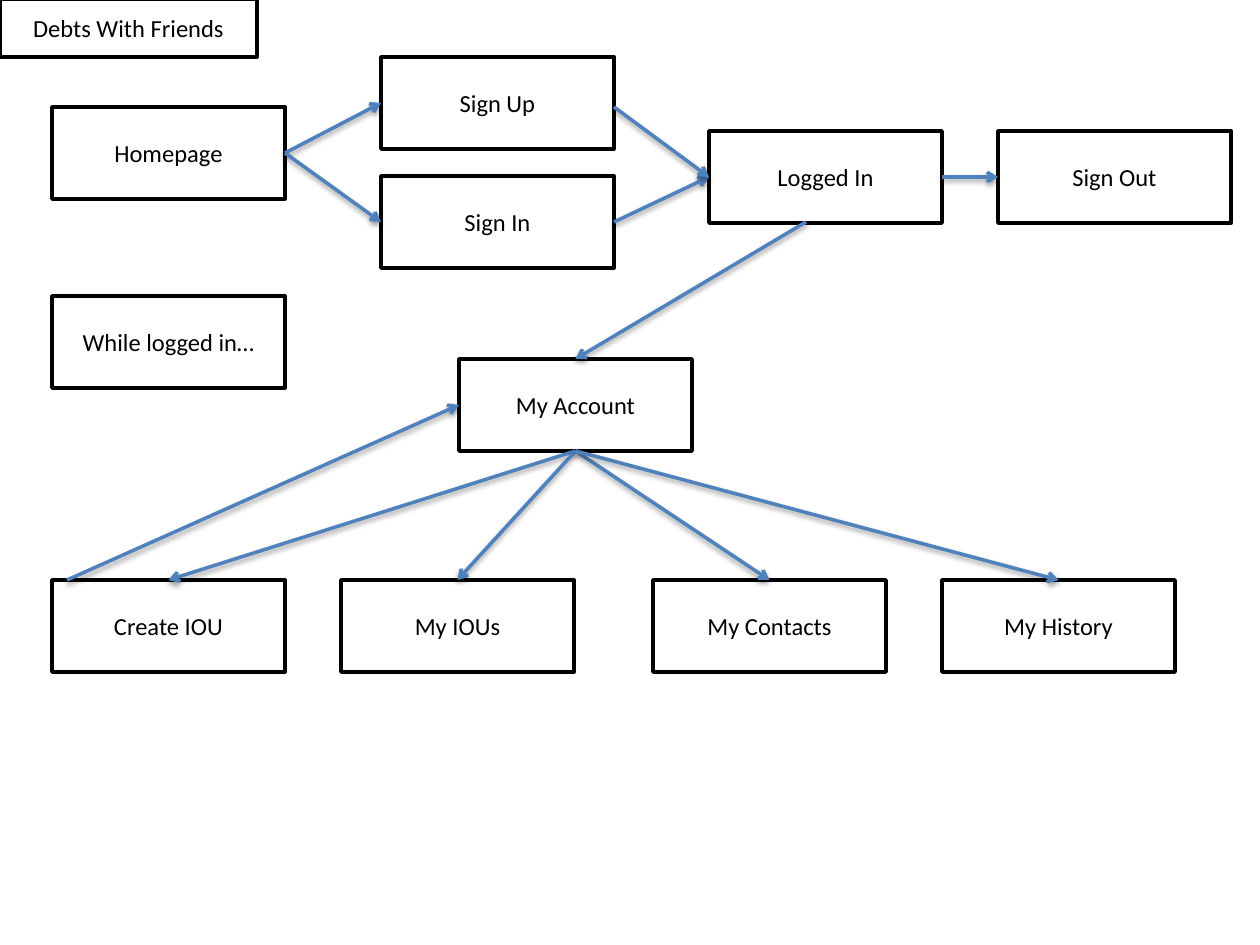
from pptx import Presentation
from pptx.dml.color import RGBColor
from pptx.enum.shapes import MSO_CONNECTOR as Connector, MSO_SHAPE as Shape
from pptx.enum.text import MSO_ANCHOR as Anchor, MSO_AUTO_SIZE as AutoSize, PP_ALIGN as Align
from pptx.oxml.ns import qn
from pptx.util import Emu, Pt
from lxml.etree import SubElement

TITLE = "Debts With Friends"
TITLE_AREA = (0, -1, 257, 58)
BOX_WIDTH, BOX_HEIGHT = 233, 92
ACTION_TOP, SESSION_TOP = 580, 131
PAGES = {
    "Homepage": (52, 107),
    "Sign Up": (381, 57),
    "Sign In": (381, 176),
    "Create IOU": (52, ACTION_TOP),
    "My Account": (459, 359),
    "My Contacts": (653, ACTION_TOP),
    "My IOUs": (341, ACTION_TOP),
    "My History": (942, ACTION_TOP),
    "While logged in…": (52, 296),
    "Logged In": (709, SESSION_TOP),
    "Sign Out": (998, SESSION_TOP),
}
TOP, LEFT, BOTTOM, RIGHT = range(4)
JOINED_ARROWS = [
    ("Homepage", RIGHT, "Sign Up", LEFT),
    ("Homepage", RIGHT, "Sign In", LEFT),
    ("Sign In", RIGHT, "Logged In", LEFT),
    ("Logged In", RIGHT, "Sign Out", LEFT),
    ("My Account", BOTTOM, "Create IOU", TOP),
    ("My Account", BOTTOM, "My IOUs", TOP),
    ("My Account", BOTTOM, "My Contacts", TOP),
    ("My Account", BOTTOM, "My History", TOP),
]
FREE_START_ARROWS = [
    ((614, 107), "Logged In", LEFT),
    ((806, 222), "My Account", TOP),
    ((67, ACTION_TOP), "My Account", LEFT),
]
FRAME_FORMAT = {"vertical_anchor": Anchor.MIDDLE, "word_wrap": True, "auto_size": AutoSize.NONE}
FONT_FORMAT = {"name": "Calibri", "size": Pt(14), "bold": False}


def px(length):
    return Emu(round(length * 914400 / 126))


def color(hex_value):
    return RGBColor.from_string(hex_value)


def apply(target, values):
    for name, value in values.items():
        setattr(target, name, value)


def format_box(box, text):
    box.fill.solid()
    box.fill.fore_color.rgb = color("FFFFFF")
    box.line.color.rgb = color("000000")
    box.line.width = Pt(2)
    frame = box.text_frame
    frame.text = text
    apply(frame, FRAME_FORMAT)
    paragraph = frame.paragraphs[0]
    paragraph.alignment = Align.CENTER
    font = paragraph.runs[0].font
    apply(font, FONT_FORMAT)
    font.color.rgb = color("000000")


def add_arrow(slide, start, target, target_side):
    x, y = start
    arrow = slide.shapes.add_connector(Connector.STRAIGHT, x, y, x, y)
    arrow.end_connect(target, target_side)
    arrow.line.color.rgb = color("4F81BD")
    arrow.line.width = Pt(2)
    SubElement(arrow.line._get_or_add_ln(), qn("a:tailEnd"), type="arrow")
    return arrow


def main():
    deck = Presentation()
    deck.slide_width, deck.slide_height = px(1260), px(945)
    slide = deck.slides.add_slide(deck.slide_layouts[5])

    title = slide.shapes.title
    apply(title, dict(zip(("left", "top", "width", "height"), map(px, TITLE_AREA))))
    format_box(title, TITLE)

    boxes = {}
    for page, (left, top) in PAGES.items():
        box = slide.shapes.add_shape(
            Shape.RECTANGLE, px(left), px(top), px(BOX_WIDTH), px(BOX_HEIGHT))
        box.shadow.inherit = False
        format_box(box, page)
        boxes[page] = box

    for source, source_side, target, target_side in JOINED_ARROWS:
        arrow = add_arrow(slide, (0, 0), boxes[target], target_side)
        arrow.begin_connect(boxes[source], source_side)
    for (x, y), target, target_side in FREE_START_ARROWS:
        add_arrow(slide, (px(x), px(y)), boxes[target], target_side)

    deck.save("out.pptx")


if __name__ == "__main__":
    main()
